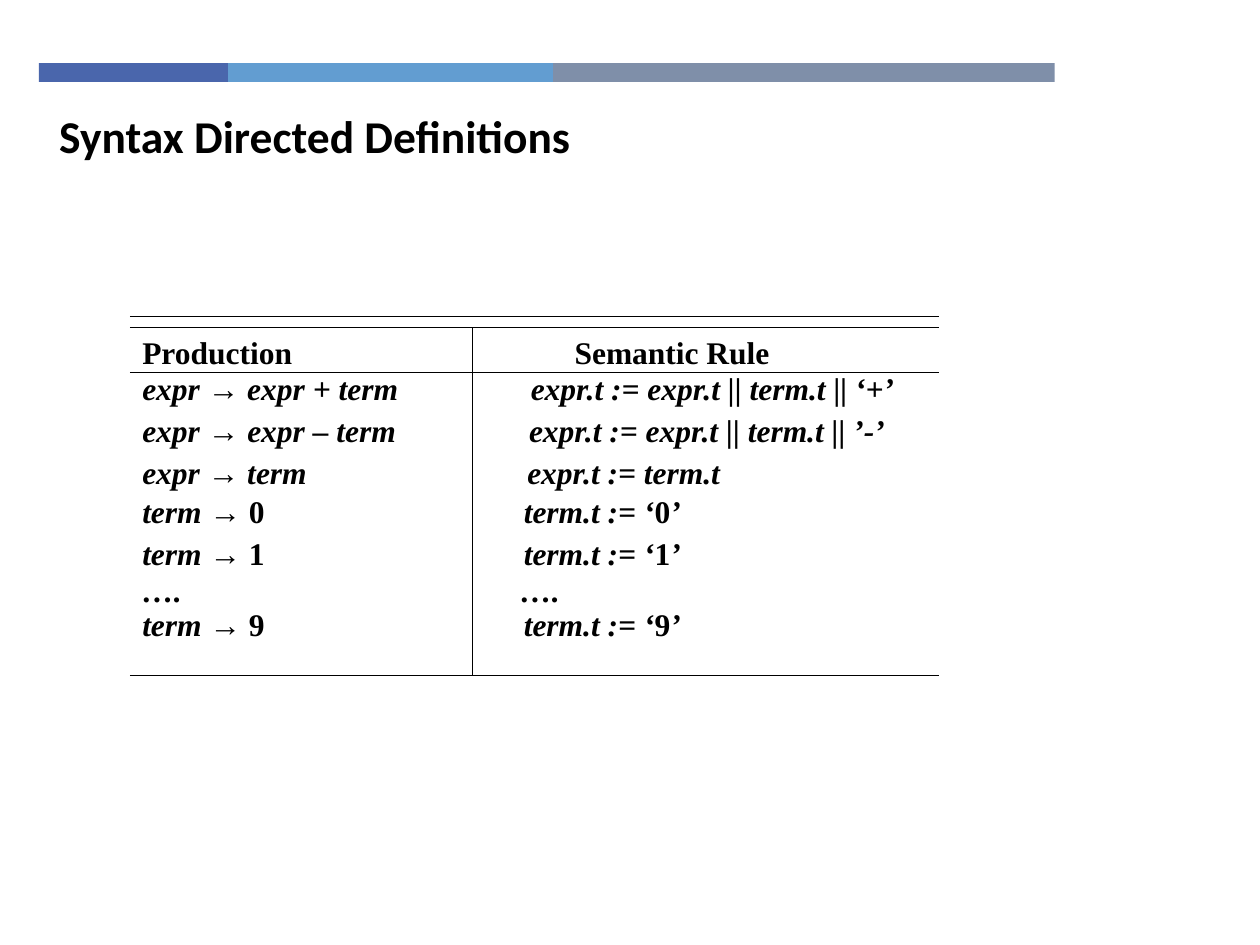
import pptx
import pptx.dml.color
import pptx.enum.shapes
import pptx.enum.text
import pptx.oxml
import pptx.oxml.ns
import pptx.util

Pt = pptx.util.Pt
BLACK = "000000"
ACCENTS = [(108, "4A66AC"), (185.76, "629DD1"), (286.56, "7F8FA9")]
TITLE_FONT = {"name": "Calibri", "size": Pt(26), "bold": True}
RULE_FONT = {"name": "Times New Roman", "size": Pt(18), "bold": True}
FRAME_FORMAT = {
    "word_wrap": True,
    "auto_size": pptx.enum.text.MSO_AUTO_SIZE.NONE,
    "margin_left": Pt(7.2),
    "margin_right": Pt(7.2),
    "margin_top": Pt(3.6),
    "margin_bottom": Pt(3.6),
}

# Underscores switch between italic and upright; each row has its line height and tab stop.
ROWS = [
    ("_Production\tSemantic Rule", 21, 247),
    ("expr _→_ expr + term\texpr.t := expr.t || term.t || ‘+’", 21, 222),
    ("expr _→ _expr – term\texpr.t := expr.t || term.t || ’-’", 23.5, 221),
    ("expr _→_ term\texpr.t := term.t", 24, 220),
    ("term _→ 0_\tterm.t := ‘_0_’", 22.5, 218),
    ("term _→ 1_\tterm.t := ‘_1_’", 24, 218),
    ("….\t….", 21, 216),
    ("term _→ 9_\tterm.t := ‘_9_’", 19.5, 218),
]


def color(value):
    return pptx.dml.color.RGBColor.from_string(value)


def apply_format(target, values):
    for name, value in values.items():
        setattr(target, name, value)


def style_font(font, values):
    apply_format(font, values)
    font.color.rgb = color(BLACK)


def add_accent_bar(slide, left, top, height):
    for width, fill in ACCENTS:
        band = slide.shapes.add_shape(
            pptx.enum.shapes.MSO_SHAPE.RECTANGLE, Pt(left), Pt(top), Pt(width), Pt(height))
        band.shadow.inherit = False
        band.fill.solid()
        band.fill.fore_color.rgb = color(fill)
        band.line.fill.background()
        left += width


def place_title(slide, left, top, width, height):
    title = slide.shapes.title
    apply_format(title, {"left": Pt(left), "top": Pt(top),
                         "width": Pt(width), "height": Pt(height)})
    apply_format(title.text_frame, FRAME_FORMAT)
    title.text_frame.vertical_anchor = pptx.enum.text.MSO_ANCHOR.MIDDLE
    heading = title.text_frame.paragraphs[0]
    heading.alignment = pptx.enum.text.PP_ALIGN.LEFT
    run = heading.add_run()
    run.text = "Syntax Directed Definitions"
    style_font(run.font, TITLE_FONT)


def add_rule_line(slide, x1, y1, x2, y2):
    line = slide.shapes.add_connector(
        pptx.enum.shapes.MSO_CONNECTOR.STRAIGHT, Pt(x1), Pt(y1), Pt(x2), Pt(y2))
    line.line.color.rgb = color(BLACK)
    line.line.width = Pt(0.75)
    line._element.spPr.append(pptx.oxml.parse_xml(
        f'<a:effectLst {pptx.oxml.ns.nsdecls("a")}/>'))


def add_row(paragraph, markup, line_height, tab):
    apply_format(paragraph, {"line_spacing": Pt(line_height), "space_before": Pt(0),
                             "alignment": pptx.enum.text.PP_ALIGN.LEFT})
    paragraph._p.get_or_add_pPr().append(pptx.oxml.parse_xml(
        f'<a:tabLst {pptx.oxml.ns.nsdecls("a")}>'
        f'<a:tab pos="{int(Pt(tab))}" algn="l"/></a:tabLst>'))
    for index, text in enumerate(markup.split("_")):
        if text:
            run = paragraph.add_run()
            run.text = text
            style_font(run.font, {**RULE_FONT, "italic": index % 2 == 0})


def add_definitions(slide, left, top, width, height):
    header_top = top + 6.5
    right, bottom = left + width, top + height
    rules = slide.shapes.add_textbox(
        Pt(left), Pt(header_top), Pt(width + 83.5), Pt(height - 9.5))
    frame = rules.text_frame
    apply_format(frame, FRAME_FORMAT)
    for index, row in enumerate(ROWS):
        add_row(frame.add_paragraph() if index else frame.paragraphs[0], *row)
    for y in (top, header_top, header_top + 25.7, bottom):
        add_rule_line(slide, left, y, right, y)
    divider = left + 196
    add_rule_line(slide, divider, header_top, divider, bottom)


def main():
    deck = pptx.Presentation()
    apply_format(deck, {"slide_width": Pt(720), "slide_height": Pt(540)})
    slide = deck.slides.add_slide(deck.slide_layouts[5])
    add_accent_bar(slide, 22.3, 36, 10.8)
    place_title(slide, 26.6, 57.6, 515.5, 38.9)
    add_definitions(slide, 74.2, 180.7, 462.2, 205.2)
    deck.save("out.pptx")


if __name__ == "__main__":
    main()
